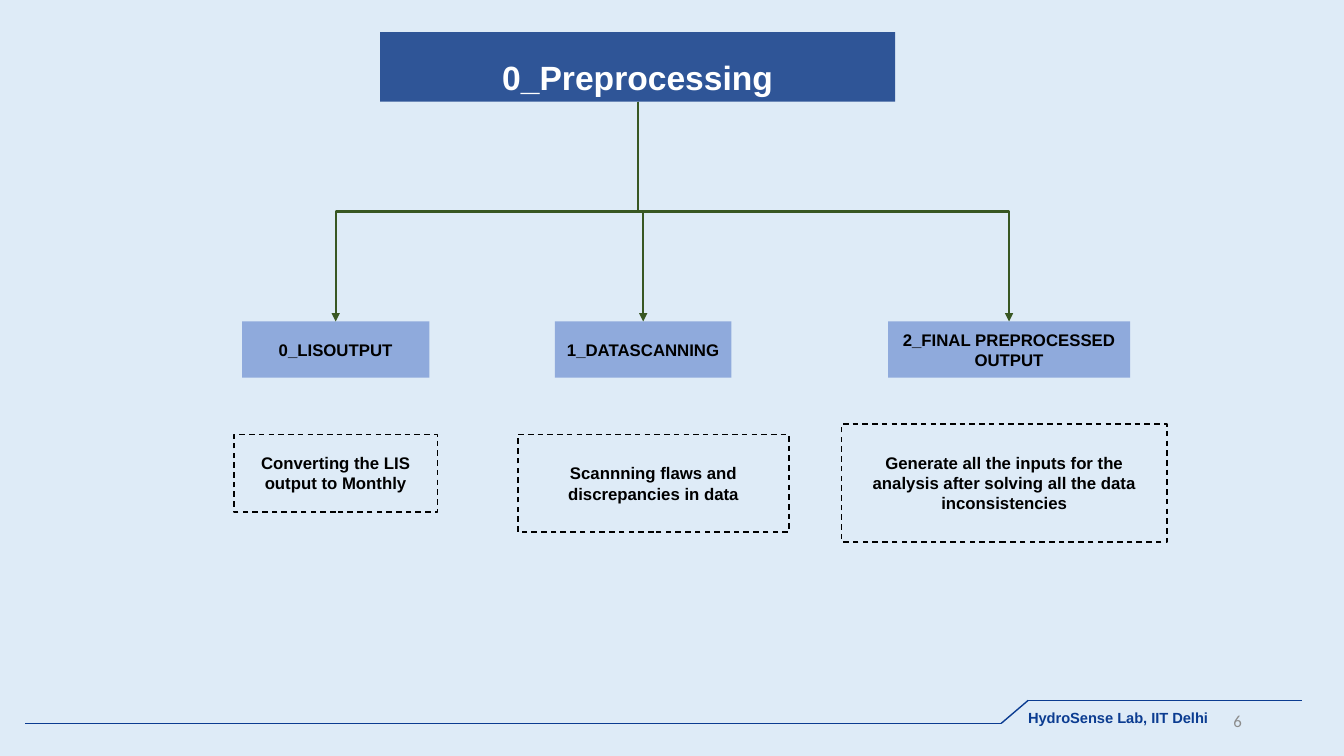
from lxml import etree
from pptx import Presentation
from pptx.dml.color import RGBColor
from pptx.enum.dml import MSO_LINE
from pptx.enum.shapes import MSO_CONNECTOR, MSO_SHAPE
from pptx.enum.text import MSO_ANCHOR, PP_ALIGN
from pptx.oxml.ns import qn
from pptx.util import Cm, Pt

PALE = RGBColor(0xDE, 0xEB, 0xF7)
NAVY = RGBColor(0x2F, 0x55, 0x97)
BLUE = RGBColor(0x8F, 0xAA, 0xDC)
GREEN = RGBColor(0x38, 0x57, 0x23)
ROYAL = RGBColor(0x0B, 0x3C, 0x91)
GRAY = RGBColor(0x8C, 0x8C, 0x8C)
BLACK = RGBColor(0, 0, 0)
WHITE = RGBColor(255, 255, 255)

RECT = MSO_SHAPE.RECTANGLE
ELBOW, LINE = MSO_CONNECTOR.ELBOW, MSO_CONNECTOR.STRAIGHT
DASH = MSO_LINE.DASH
MIDDLE, TOP = MSO_ANCHOR.MIDDLE, MSO_ANCHOR.TOP
CENTER, LEFT, RIGHT = PP_ALIGN.CENTER, PP_ALIGN.LEFT, PP_ALIGN.RIGHT

# Box centre, box width, box text, then note centre, top, width, height, text
COLUMNS = [
    (8.46, 4.72, "0_LISOUTPUT",
     8.46, 10.95, 5.13, 1.95, "Converting the LIS output to Monthly"),
    (16.21, 4.45, "1_DATASCANNING",
     16.47, 10.95, 6.83, 2.46, "Scannning flaws and discrepancies in data"),
    (25.43, 6.1, "2_FINAL PREPROCESSED OUTPUT",
     25.31, 10.69, 8.2, 2.97,
     "Generate all the inputs for the analysis after solving "
     "all the data inconsistencies"),
]


def write(shape, text, size=12, color=BLACK, bold=True, font="Arial",
          align=CENTER, anchor=MIDDLE, wrap=True, spacing=None):
    frame = shape.text_frame
    frame.word_wrap = wrap
    frame.vertical_anchor = anchor
    para = frame.paragraphs[0]
    para.text = text
    para.alignment = align
    para.line_spacing = spacing
    para.font.size = Pt(size)
    para.font.name = font
    para.font.bold = bold
    para.font.color.rgb = color


def add_box(slide, left, top, width, height, fill=None):
    """Solid box, or a dashed outline when no fill is given."""
    box = slide.shapes.add_shape(RECT, Cm(left), Cm(top), Cm(width), Cm(height))
    box.shadow.inherit = False
    if fill is None:
        box.fill.background()
        box.line.color.rgb = BLACK
        box.line.width = Pt(1)
        box.line.dash_style = DASH
    else:
        box.fill.solid()
        box.fill.fore_color.rgb = fill
        box.line.fill.background()
    return box


def add_line(slide, kind, start, end, color, width):
    line = slide.shapes.add_connector(kind, *start, *end)
    line.line.color.rgb = color
    line.line.width = Pt(width)
    etree.SubElement(line._element.spPr, qn("a:effectLst"))
    return line


def add_branch(slide, upper, lower):
    """Elbow arrow from the bottom of one box to the top of another."""
    x1, y1 = upper.left + upper.width // 2, upper.top + upper.height
    x2, y2 = lower.left + lower.width // 2, lower.top
    arrow = add_line(slide, ELBOW, (x1, y1), (x2, y2), GREEN, 1.5)
    arrow.begin_connect(upper, 2)
    arrow.end_connect(lower, 0)
    # Turn the elbow so that it leaves downwards
    drop, shift = y2 - y1, abs(x2 - x1)
    arrow.left, arrow.top = (x1 + x2 - drop) // 2, (y1 + y2 - shift) // 2
    arrow.width, arrow.height = drop, shift
    frame = arrow._element.spPr.find(qn("a:xfrm"))
    for flip in ("flipH", "flipV"):
        frame.attrib.pop(flip, None)
    frame.set("rot", "5400000" if x2 < x1 else "16200000")
    if x2 >= x1:
        frame.set("flipH", "1")
    tip = etree.SubElement(arrow.line._get_or_add_ln(), qn("a:tailEnd"))
    tip.set("type", "triangle")


def add_title(slide, left, top, width, height):
    title = add_box(slide, left, top, width, height, NAVY)
    frame = title.text_frame
    frame.margin_left = frame.margin_right = Cm(0.2)
    frame.margin_top = frame.margin_bottom = Cm(0.2)
    write(title, "0_Preprocessing", size=24, color=WHITE, spacing=1.5)
    return title


def add_column(slide, title, top, height, column):
    mid, width, name, note_mid, note_top, note_width, note_height, text = column
    node = add_box(slide, mid - width / 2, top, width, height, BLUE)
    write(node, name)
    add_branch(slide, title, node)
    note = add_box(slide, note_mid - note_width / 2, note_top,
                   note_width, note_height)
    write(note, text)


def add_footer(slide, left, top, width, height):
    # Stepped rule
    base, right = top + height, left + width
    points = [(left, base), (right - 7.59, base), (right - 6.91, top), (right, top)]
    spots = [(Cm(x), Cm(y)) for x, y in points]
    for start, end in zip(spots, spots[1:]):
        add_line(slide, LINE, start, end, ROYAL, 1)
    # Lab name and page number
    lab = slide.shapes.add_textbox(Cm(right - 7.16), Cm(top + 0.08),
                                   Cm(5.11), Cm(0.71))
    write(lab, "HydroSense Lab, IIT Delhi", size=10.5, color=ROYAL,
          align=LEFT, anchor=TOP, wrap=False)
    page = slide.shapes.add_textbox(Cm(right - 8.89), Cm(top), Cm(7.62), Cm(1.02))
    write(page, "6", color=GRAY, bold=False, font="Calibri", align=RIGHT)


def main():
    deck = Presentation()
    deck.slide_width, deck.slide_height = Cm(33.87), Cm(19.05)
    slide = deck.slides.add_slide(deck.slide_layouts[6])
    slide.background.fill.solid()
    slide.background.fill.fore_color.rgb = PALE
    title = add_title(slide, 9.58, 0.81, 12.98, 1.75)
    for column in COLUMNS:
        add_column(slide, title, 8.1, 1.42, column)
    add_footer(slide, 0.64, 17.65, 32.18, 0.58)
    deck.save("out.pptx")


if __name__ == "__main__":
    main()
